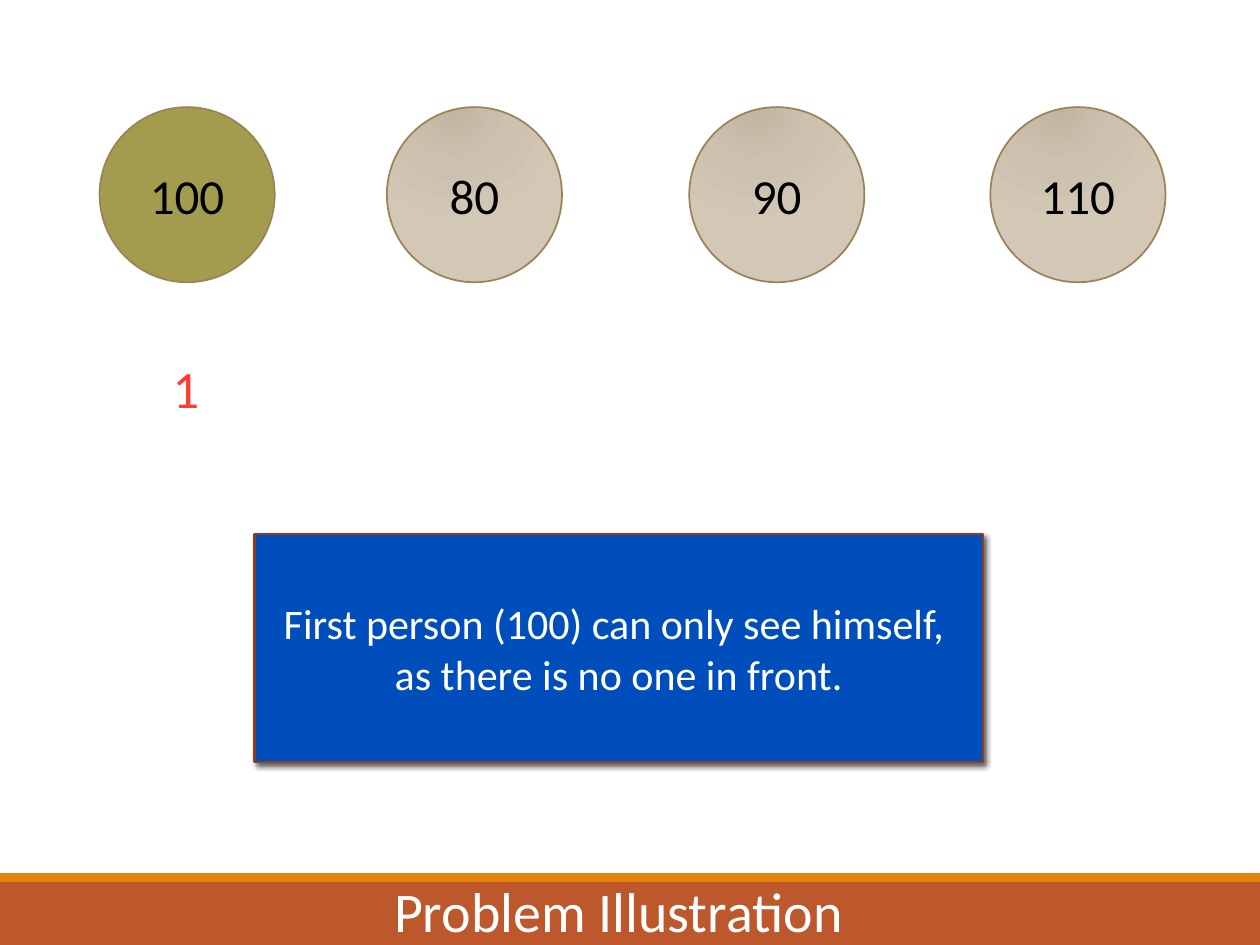
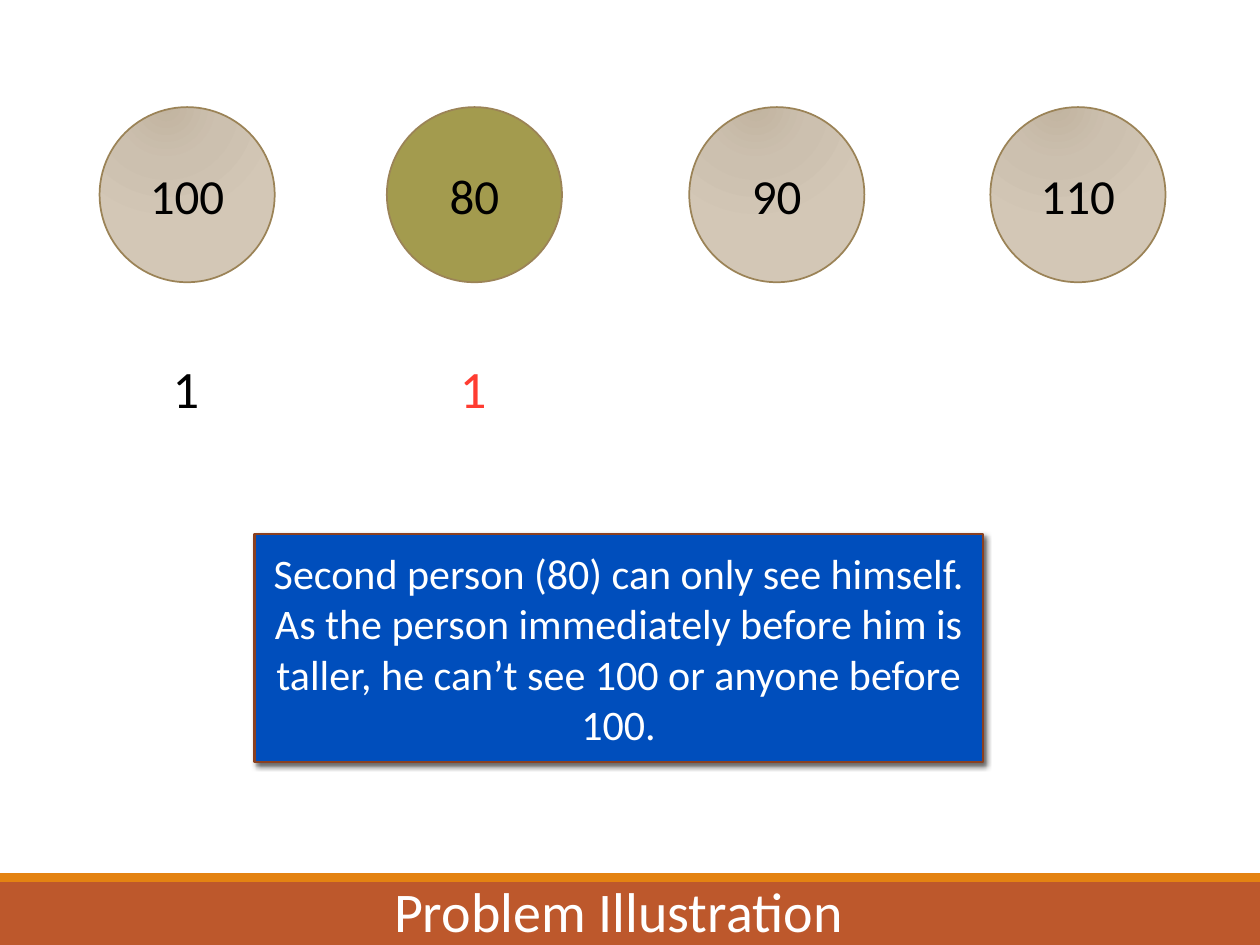
from pptx import Presentation
from pptx.dml.color import RGBColor
from pptx.enum.shapes import MSO_SHAPE
from pptx.enum.text import MSO_ANCHOR, MSO_AUTO_SIZE, PP_ALIGN
from pptx.oxml import parse_xml
from pptx.util import Inches, Pt

WHITE = RGBColor(0xFF, 0xFF, 0xFF)
BLACK = RGBColor(0x00, 0x00, 0x00)
RUST = RGBColor(0xBD, 0x58, 0x2C)
ORANGE = RGBColor(0xE4, 0x83, 0x12)
OLIVE = RGBColor(0xA3, 0x9B, 0x4E)
TAN = RGBColor(0x9B, 0x83, 0x57)
BLUE = RGBColor(0x00, 0x4E, 0xBC)
BROWN = RGBColor(0x8A, 0x40, 0x20)
RED = RGBColor(0xFF, 0x3C, 0x31)

DRAWING_NS = 'xmlns:a="http://schemas.openxmlformats.org/drawingml/2006/main"'
SAND_GRADIENT = f"""<a:gradFill {DRAWING_NS} rotWithShape="1"><a:gsLst>
<a:gs pos="0"><a:srgbClr val="C2B4A0"/></a:gs>
<a:gs pos="45000"><a:srgbClr val="CCC0AF"/></a:gs>
<a:gs pos="100000"><a:srgbClr val="D3C7B6"/></a:gs></a:gsLst>
<a:path path="circle"><a:fillToRect l="38000" t="-20000" r="62000" b="120000"/></a:path>
</a:gradFill>"""
SOFT_SHADOW = f"""<a:outerShdw {DRAWING_NS} blurRad="{Pt(3)}" dist="{Pt(2)}" dir="2700000"
algn="tl" rotWithShape="0"><a:srgbClr val="000000"><a:alpha val="60000"/></a:srgbClr>
</a:outerShdw>"""

HEIGHTS = [100, 80, 90, 110]
PERSON_LEFTS = [0.79, 3.07, 5.47, 7.86]
DIAMETER = 1.39
COUNT_WIDTH = 0.33

# Counts found so far; the last one belongs to the current person
STEPS = [
    ([1], "First person (100) can only see himself, \vas there is no one in front."),
    ([1, 1], "Second person (80) can only see himself. As the person immediately "
             "before him is taller, he can’t see 100 or anyone before 100."),
]


def write(shape, text, size, color, anchor=MSO_ANCHOR.MIDDLE, align=PP_ALIGN.CENTER):
    frame = shape.text_frame
    frame.text = text
    frame.word_wrap = True
    frame.vertical_anchor = anchor
    frame.margin_left = frame.margin_right = Inches(0.05)
    frame.margin_top = frame.margin_bottom = Inches(0.05)
    paragraph = frame.paragraphs[0]
    paragraph.alignment = align
    for run in paragraph.runs:
        run.font.name = "Calibri"
        run.font.size = Pt(size)
        run.font.color.rgb = color


def add_flat_shape(slide, kind, left, top, width, height, fill=None):
    """Add a shape without shadow or line; no fill colour means the sand gradient."""
    shape = slide.shapes.add_shape(
        kind, Inches(left), Inches(top), Inches(width), Inches(height))
    if fill is None:
        shape.element.spPr.insert(2, parse_xml(SAND_GRADIENT))
    else:
        shape.fill.solid()
        shape.fill.fore_color.rgb = fill
    shape.line.fill.background()
    shape.shadow.inherit = False
    return shape


prs = Presentation()
prs.slide_width, prs.slide_height = Inches(10), Inches(7.5)
layout = prs.slide_layouts[5]
slides = [prs.slides.add_slide(layout) for _ in STEPS]

# The footer bands move to the layout, behind the titles of all slides
for top, height, color in [(6.93, 0.07, ORANGE), (7, 0.5, RUST)]:
    band = add_flat_shape(slides[0], MSO_SHAPE.RECTANGLE, 0, top, 10, height, color)
    layout.shapes.element.insert(2, band.element)

for slide, (counts, explanation) in zip(slides, STEPS):
    current = len(counts) - 1

    title = slide.shapes.title
    title.left, title.top = Inches(2.79), Inches(6.9)
    title.width, title.height = Inches(4.24), Inches(0.64)
    write(title, "Problem Illustration", 32, WHITE, MSO_ANCHOR.BOTTOM)
    title.text_frame.auto_size = MSO_AUTO_SIZE.SHAPE_TO_FIT_TEXT

    for index, (left, person_height) in enumerate(zip(PERSON_LEFTS, HEIGHTS)):
        person = add_flat_shape(slide, MSO_SHAPE.OVAL, left, 0.85, DIAMETER, DIAMETER,
                                OLIVE if index == current else None)
        person.line.color.rgb = TAN
        person.line.width = Pt(1)
        write(person, str(person_height), 28, BLACK)

    callout = add_flat_shape(slide, MSO_SHAPE.RECTANGLE, 2.02, 4.24, 5.78, 1.81, BLUE)
    callout.line.color.rgb = BROWN
    callout.line.width = Pt(1.25)
    callout.element.spPr[-1].append(parse_xml(SOFT_SHADOW))
    write(callout, explanation, 24, WHITE)

    for index, (left, count) in enumerate(zip(PERSON_LEFTS, counts)):
        count_left = left + (DIAMETER - COUNT_WIDTH) / 2
        label = slide.shapes.add_textbox(
            Inches(count_left), Inches(2.78), Inches(COUNT_WIDTH), Inches(0.61))
        write(label, str(count), 30, RED if index == current else BLACK,
              MSO_ANCHOR.TOP, PP_ALIGN.LEFT)
        label.text_frame.word_wrap = False
        label.text_frame.auto_size = MSO_AUTO_SIZE.SHAPE_TO_FIT_TEXT

prs.save("out.pptx")
